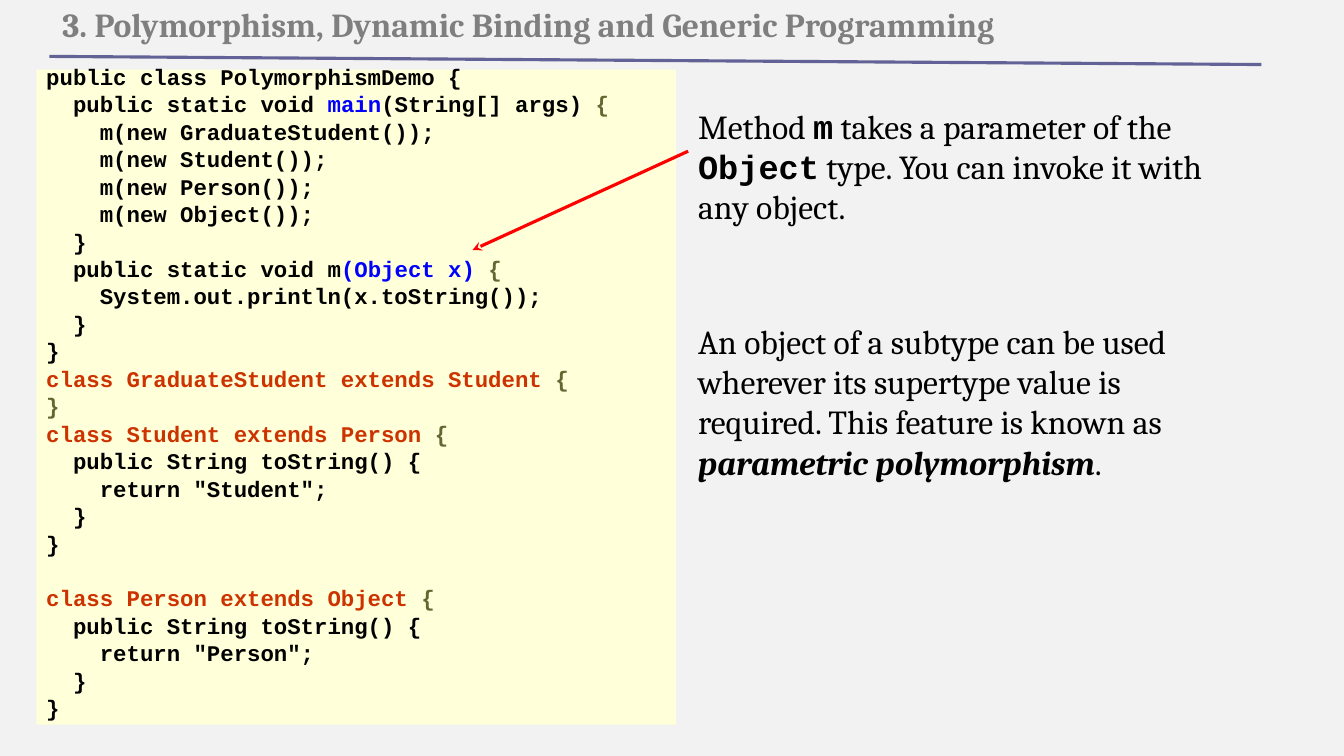
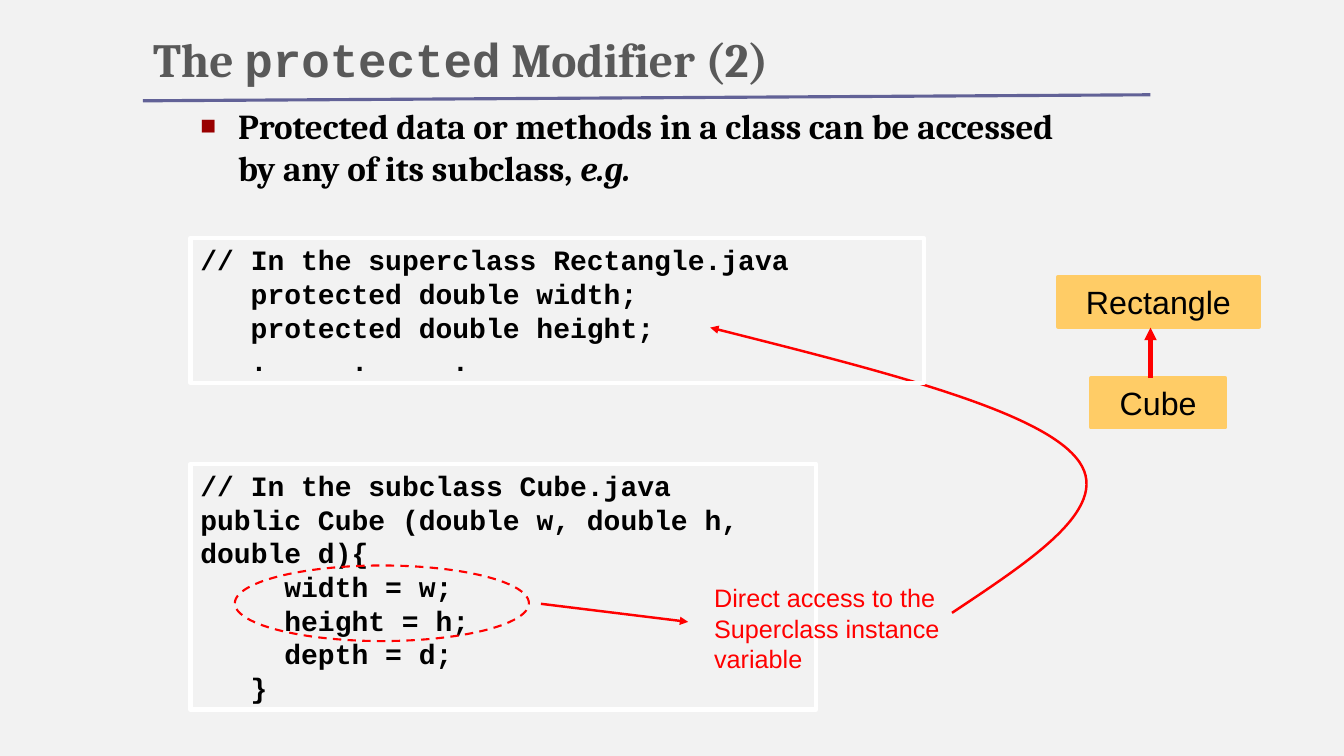
from lxml import etree
from pptx import Presentation
from pptx.dml.color import RGBColor
from pptx.enum.dml import MSO_LINE
from pptx.enum.shapes import MSO_CONNECTOR, MSO_SHAPE
from pptx.enum.text import MSO_ANCHOR, MSO_AUTO_SIZE, PP_ALIGN
from pptx.oxml.ns import qn
from pptx.util import Pt

RECT, OVAL = MSO_SHAPE.RECTANGLE, MSO_SHAPE.OVAL
STRAIGHT, DASH = MSO_CONNECTOR.STRAIGHT, MSO_LINE.DASH
TOP, MIDDLE, BOTTOM = MSO_ANCHOR.TOP, MSO_ANCHOR.MIDDLE, MSO_ANCHOR.BOTTOM
LEFT, CENTER = PP_ALIGN.LEFT, PP_ALIGN.CENTER
FIXED = MSO_AUTO_SIZE.NONE

SERIF, MONO, SANS = "Cambria", "Courier New", "Arial"
HEX = {
    "back": "F2F2F2", "head": "7F7F7F", "dark": "595959", "rule": "626297",
    "black": "000000", "white": "FFFFFF", "cream": "FFFFD9", "gold": "FFCC66",
    "red": "FF0000", "blue": "0000FF", "rust": "CC3300", "olive": "666633",
    "bullet": "990000",
}
OPEN = (" {", {"color": "olive"})

DEMO = [
    "public class PolymorphismDemo {",
    ["  public static void ", ("main", {"color": "blue"}), "(String[] args)", OPEN],
    "    m(new GraduateStudent());",
    "    m(new Student());",
    "    m(new Person());",
    "    m(new Object());",
    "  }",
    ["  public static void m", ("(Object x)", {"color": "blue"}), OPEN],
    "    System.out.println(x.toString());",
    "  }",
    "}",
    [("class GraduateStudent extends Student", {"color": "rust"}), OPEN],
    [("}", {"color": "olive"})],
    [("class Student extends Person", {"color": "rust"}), OPEN],
    "  public String toString() {",
    "    return \"Student\";",
    "  }",
    "}",
    [("class Person extends Object", {"color": "rust"}), OPEN],
    "  public String toString() {",
    "    return \"Person\";",
    "  }",
    "}",
]
GAP_LINE = 18
SUPER = [
    ("// In the superclass Rectangle.java", 0),
    ("protected double width;", 1),
    ("protected double height;", 1),
    ("\t.\t.\t.", 0),
]
SUB = [
    ("// In the subclass Cube.java", 0),
    ("public Cube (double w, double h, double d){", 0),
    ("  width = w;", 1),
    ("  height = h;", 1),
    ("  depth = d;", 1),
    ("}", 1),
]


def rgb(name):
    return RGBColor.from_string(HEX[name])


def style(font, size=None, face=None, color=None, bold=None, italic=None):
    if size:
        font.size = Pt(size)
    if face:
        font.name = face
    if color:
        font.color.rgb = rgb(color)
    if bold is not None:
        font.bold = bold
    if italic is not None:
        font.italic = italic


def child(node, tag, **attrs):
    return etree.SubElement(node, qn("a:" + tag), **attrs)


def next_para(frame):
    first = frame.paragraphs[0]
    return frame.add_paragraph() if first.runs else first


def write(para, runs, align=LEFT, **look):
    para.alignment = align
    style(para.font, **look)
    for part in [runs] if isinstance(runs, str) else runs:
        text, extra = (part, {}) if isinstance(part, str) else part
        run = para.add_run()
        run.text = text
        style(run.font, **extra)


def setup(frame, anchor=TOP):
    frame.word_wrap = True
    frame.auto_size = FIXED
    frame.vertical_anchor = anchor
    return frame


def add_title(slide, box, runs, anchor, **look):
    title = slide.shapes.title
    title.left, title.top, title.width, title.height = map(Pt, box)
    para = setup(title.text_frame, anchor).paragraphs[0]
    para.line_spacing = 0.8
    write(para, runs, face=SERIF, bold=True, **look)


def add_text(slide, box):
    return setup(slide.shapes.add_textbox(*map(Pt, box)).text_frame)


def add_box(slide, box, fill=None, line=None, width=3, kind=RECT):
    shape = slide.shapes.add_shape(kind, *map(Pt, box))
    shape.shadow.inherit = False
    if fill:
        shape.fill.solid()
        shape.fill.fore_color.rgb = rgb(fill)
    else:
        shape.fill.background()
    if line:
        shape.line.color.rgb = rgb(line)
        shape.line.width = Pt(width)
    else:
        shape.line.fill.background()
    setup(shape.text_frame)
    return shape


def ink(shape, color, width, head=None):
    shape.line.color.rgb = rgb(color)
    shape.line.width = Pt(width)
    if head:
        child(shape.element.spPr.find(qn("a:ln")), "tailEnd", type=head)


def add_line(slide, start, end, color="red", width=2.25, head=None):
    line = slide.shapes.add_connector(STRAIGHT, *map(Pt, start + end))
    ink(line, color, width, head)
    child(line.element.spPr, "effectLst")


def add_curve(slide, points, color, width, head):
    spots = [(Pt(x), Pt(y)) for x, y in points]
    maker = slide.shapes.build_freeform(*spots[0])
    maker.add_line_segments(spots[1:], close=False)
    curve = maker.convert_to_shape()
    curve.shadow.inherit = False
    curve.fill.background()
    ink(curve, color, width, head)
    steps = list(curve.element.iter(qn("a:lnTo")))
    track = steps[0].getparent()
    for at in range(0, len(steps), 3):
        bend = child(track, "cubicBezTo")
        for step in steps[at:at + 3]:
            bend.append(step[0])
            track.remove(step)


def add_tabs(para, stops):
    tabs = child(para._p.get_or_add_pPr(), "tabLst")
    for stop in stops:
        child(tabs, "tab", pos=str(Pt(stop)), algn="l")


def add_bullet(para, indent):
    props = para._p.get_or_add_pPr()
    props.set("marL", str(Pt(indent)))
    props.set("indent", str(-Pt(indent)))
    child(child(props, "buClr"), "srgbClr", val=HEX["bullet"])
    child(props, "buSzPct", val="75000")
    child(props, "buFont", typeface=SANS)
    child(props, "buChar", char="■")


def add_code(slide, box, lines):
    frame = add_box(slide, box, line="white").text_frame
    for text, level in lines:
        para = next_para(frame)
        para.level = level
        para._p.get_or_add_pPr().set("marL", str(Pt(36 * level)))
        if "\t" in text:
            add_tabs(para, (36, 108, 180))
        write(para, text, size=20, face=MONO, color="black", bold=True)


def add_demo(slide):
    frame = add_box(slide, (26, 49.7, 457, 468), fill="cream").text_frame
    for at, runs in enumerate(DEMO):
        para = next_para(frame)
        para.line_spacing = 0.5
        if at:
            para.space_before = Pt(29.6 if at == GAP_LINE else 10)
        write(para, runs, size=16, face=MONO, color="black", bold=True)


def add_note(slide, top, height, runs):
    frame = add_text(slide, (491.8, top, 380, height))
    write(frame.paragraphs[0], runs, size=24, face=SERIF, color="black")


def binding(slide):
    add_title(slide, (37.4, 1.4, 776, 36.7),
              "3. Polymorphism, Dynamic Binding and Generic Programming",
              MIDDLE, size=24, color="head")
    add_demo(slide)
    code = {"face": MONO, "bold": True}
    add_note(slide, 72, 93.6, [
        "Method ", ("m", code), " takes a parameter of the ", ("Object", code),
        " type. You can invoke it with any object."])
    add_line(slide, (491.8, 108), (337.7, 178.6), head="stealth")
    add_note(slide, 225.4, 166.3, [
        "An object of a subtype can be used wherever its supertype value is "
        "required. This feature is known as ",
        ("parametric polymorphism", {"bold": True, "italic": True}), "."])
    add_line(slide, (35.3, 40.3), (901.4, 46.1), "rule")


def modifier(slide):
    add_title(slide, (102.2, 14.4, 635.8, 51.1),
              ["The ", ("protected", {"face": MONO}), " Modifier (2)"],
              BOTTOM, size=34, color="dark")
    add_code(slide, (136.1, 331.2, 447.1, 175.7), SUB)
    para = add_text(slide, (136.1, 71.3, 630, 76)).paragraphs[0]
    add_bullet(para, 27)
    write(para, [
        "Protected data or methods in a class can be accessed by any of its "
        "subclass, ", ("e.g.", {"italic": True})],
        size=25, face=SERIF, color="black", bold=True)
    ring = add_box(slide, (167.8, 403.9, 210.2, 54), line="red", width=1.5,
                   kind=OVAL)
    ring.line.dash_style = DASH
    note = add_text(slide, (503.3, 412.6, 200.9, 72))
    for text in ("Direct access to the", "Superclass instance variable"):
        write(next_para(note), text, size=18, face=SANS, color="red")
    add_line(slide, (386.6, 431.3), (491.8, 444.2), width=1.75, head="triangle")
    add_curve(slide, [
        (680.4, 437.8), (738.7, 398.9), (797.8, 360.7), (769, 326.9),
        (740.2, 292.3), (624.2, 263.5), (507.6, 234)], "red", 1.75, "triangle")
    add_code(slide, (136.1, 169.9, 524.2, 103.7), SUPER)
    for name, left, top, width in (("Rectangle", 756, 198, 144),
                                   ("Cube", 779.8, 270, 95.8)):
        box = add_box(slide, (left, top, width, 35.3), "gold", "gold")
        write(box.text_frame.paragraphs[0], name, CENTER,
              size=23, face=SANS, color="black")
    add_line(slide, (822.2, 270), (822.2, 234), width=3, head="triangle")
    add_line(slide, (102.2, 72), (822.2, 67.7), "rule")


def main():
    deck = Presentation()
    deck.slide_width, deck.slide_height = Pt(960.48), Pt(540)
    back = deck.slide_master.background.fill
    back.solid()
    back.fore_color.rgb = rgb("back")
    for draw in (binding, modifier):
        draw(deck.slides.add_slide(deck.slide_layouts[5]))
    deck.save("out.pptx")


if __name__ == "__main__":
    main()
